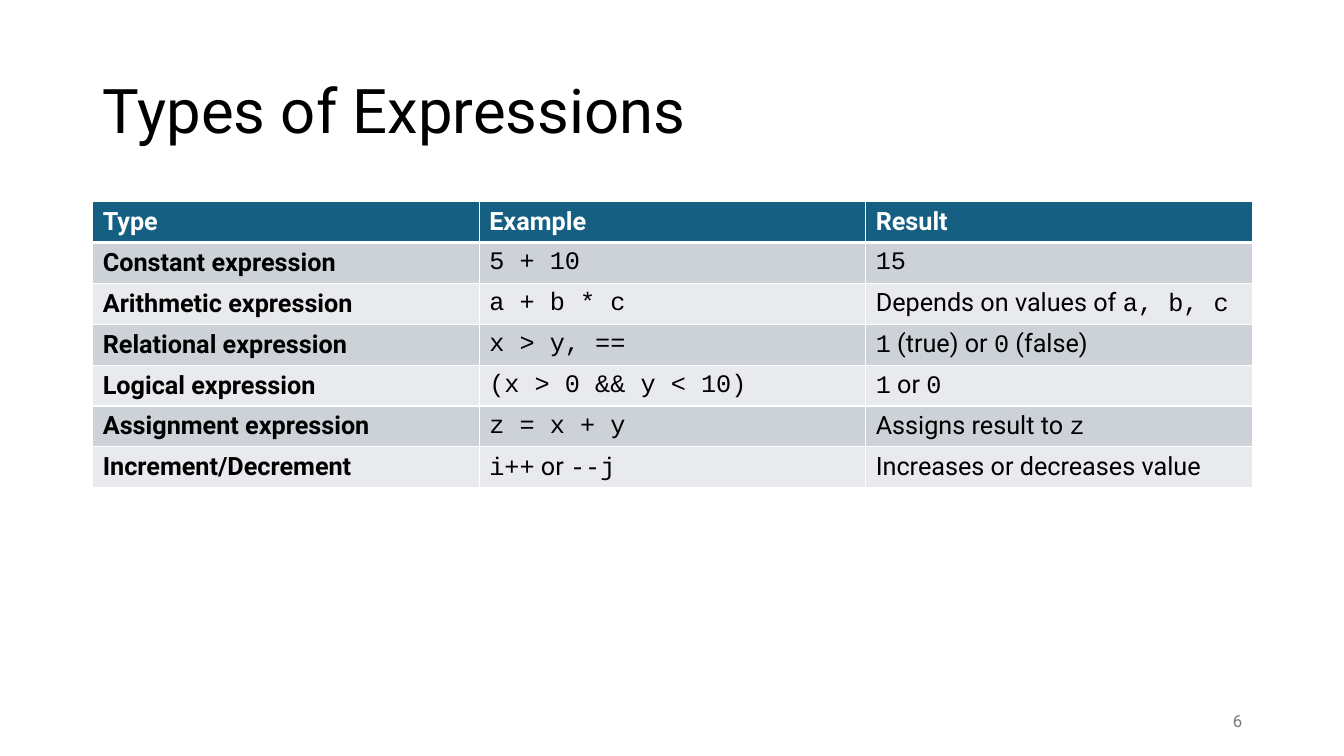
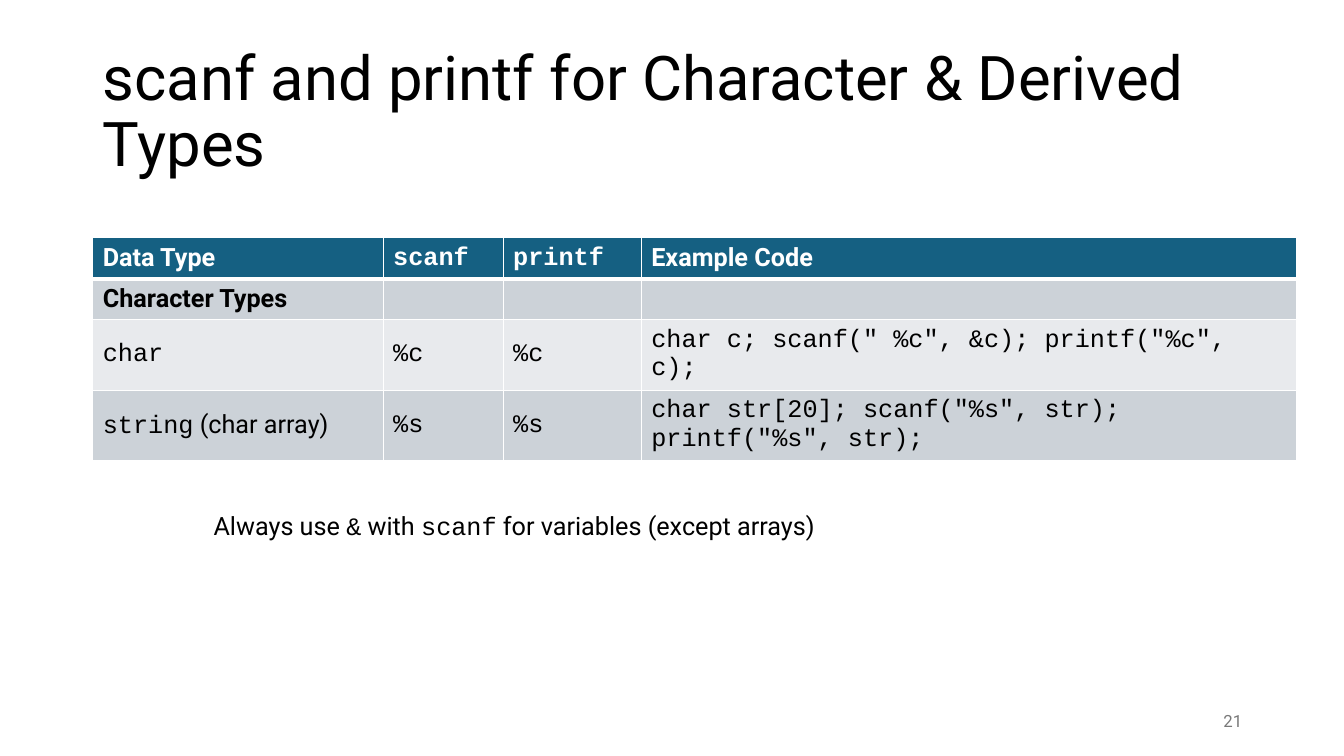
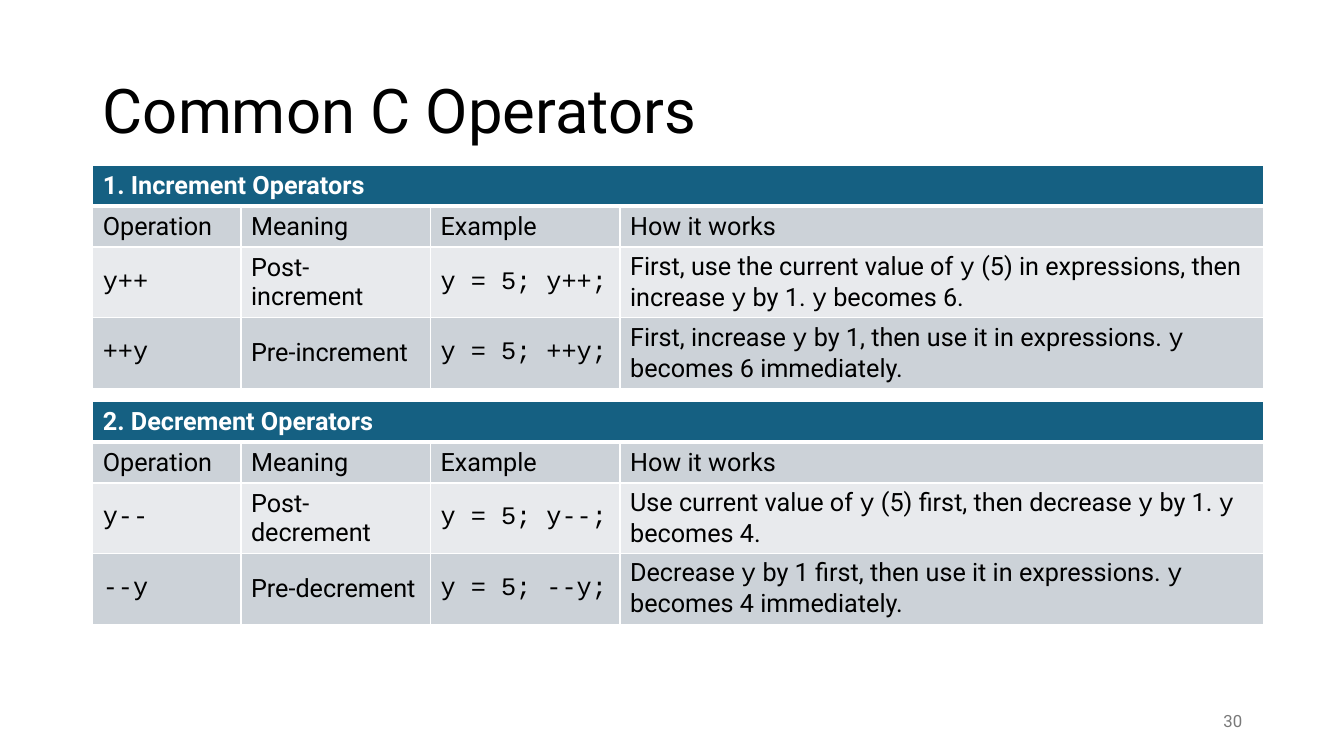
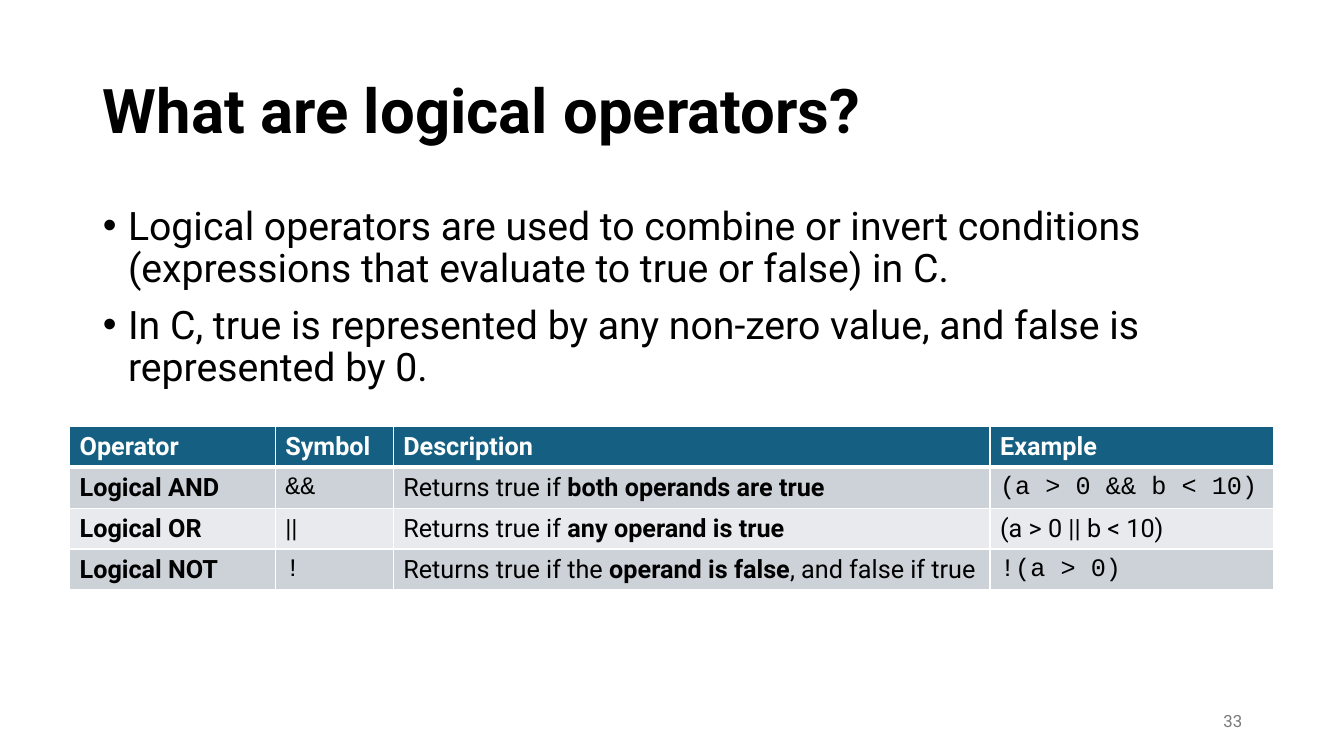
from lxml import etree
from pptx import Presentation
from pptx.dml.color import RGBColor
from pptx.enum.text import MSO_ANCHOR, MSO_AUTO_SIZE, PP_ALIGN
from pptx.oxml.ns import qn
from pptx.util import Inches, Pt

MIDDLE, TOP = MSO_ANCHOR.MIDDLE, MSO_ANCHOR.TOP
NO_FIT = MSO_AUTO_SIZE.NONE
LEFT, RIGHT = PP_ALIGN.LEFT, PP_ALIGN.RIGHT

# Shared style
BODY_FONT, CODE_FONT = "Roboto", "Courier New"
BLACK, WHITE, GREY = "000000", "FFFFFF", "797979"
HEADER_FILL = "156082"
BAND_FILLS = ["E8EAED", "CCD2D8"]
MARGIN, CONTENT_WIDTH = 0.92, 11.5
ROW_HEIGHT = 2.84 / 7
TITLE_ONLY, TITLE_AND_BODY = 5, 1


def add_text(para, text, size, colour=BLACK, bold=False):
    """Add runs: `...` marks code and **...** marks bold."""
    for bold_index, part in enumerate(text.split("**")):
        for code_index, words in enumerate(part.split("`")):
            if words:
                span = para.add_run()
                span.text = words
                span.font.name = CODE_FONT if code_index % 2 else BODY_FONT
                span.font.size = Pt(size)
                span.font.bold = bold or bold_index % 2 == 1
                span.font.color.rgb = RGBColor.from_string(colour)


def add_grid(page, left, top, widths, rows):
    """Add a banded table; a row with a single text spans all columns."""
    frame = page.shapes.add_table(
        len(rows), len(widths), Inches(left), Inches(top),
        Inches(sum(widths)), Inches(ROW_HEIGHT * len(rows)))
    table = frame.table
    for column, width in zip(table.columns, widths):
        column.width = Inches(width)
    for row_index, texts in enumerate(rows):
        table.rows[row_index].height = Inches(ROW_HEIGHT)
        is_header = row_index == 0
        for column_index in range(len(widths)):
            cell = table.cell(row_index, column_index)
            cell.vertical_anchor = MIDDLE
            # White borders, thicker under the header
            thick_side = {0: "lnB", 1: "lnT"}.get(row_index)
            for side in ("lnL", "lnR", "lnT", "lnB"):
                points = 3 if side == thick_side else 1
                line = etree.SubElement(cell._tc.get_or_add_tcPr(), qn("a:" + side), w=str(Pt(points)))
                fill = etree.SubElement(line, qn("a:solidFill"))
                etree.SubElement(fill, qn("a:srgbClr"), val=WHITE)
            cell.fill.solid()
            cell.fill.fore_color.rgb = RGBColor.from_string(
                HEADER_FILL if is_header else BAND_FILLS[row_index % 2])
            if column_index < len(texts):
                add_text(cell.text_frame.paragraphs[0], texts[column_index], 18,
                         WHITE if is_header else BLACK, is_header)
        if len(texts) == 1:
            table.cell(row_index, 0).merge(table.cell(row_index, len(widths) - 1))


deck = Presentation()
deck.slide_width, deck.slide_height = Inches(13.33), Inches(7.5)

# Titles and page numbers
pages = []
for title, number, layout in [
    ("Types of Expressions", "6", TITLE_ONLY),
    ("scanf and printf for Character & Derived Types", "21", TITLE_ONLY),
    ("Common C Operators", "30", TITLE_ONLY),
    ("**What are logical operators?**", "33", TITLE_AND_BODY),
]:
    page = deck.slides.add_slide(deck.slide_layouts[layout])
    pages.append(page)
    box = page.shapes.title
    box.left, box.top = Inches(MARGIN), Inches(0.4)
    box.width, box.height = Inches(CONTENT_WIDTH), Inches(1.45)
    box.text_frame.auto_size = NO_FIT
    box.text_frame.vertical_anchor = MIDDLE
    para = box.text_frame.paragraphs[0]
    para.alignment, para.line_spacing = LEFT, 0.9
    add_text(para, title, 44)

    box = page.shapes.add_textbox(Inches(9.42), Inches(6.95), Inches(3), Inches(0.4))
    box.text_frame.word_wrap = True
    box.text_frame.vertical_anchor = MIDDLE
    para = box.text_frame.paragraphs[0]
    para.alignment = RIGHT
    add_text(para, number, 12, GREY)

expressions_page, formats_page, operators_page, logic_page = pages

# Types of expressions
add_grid(expressions_page, MARGIN, 2, [CONTENT_WIDTH / 3] * 3, [
    ["Type", "Example", "Result"],
    ["**Constant expression**", "`5 + 10`", "`15`"],
    ["**Arithmetic expression**", "`a + b * c`", "Depends on values of `a, b, c`"],
    ["**Relational expression**", "`x > y, ==`", "`1` (true) or `0` (false)"],
    ["**Logical expression**", "`(x > 0 && y < 10)`", "`1` or `0`"],
    ["**Assignment expression**", "`z = x + y`", "Assigns result to `z`"],
    ["**Increment/Decrement**", "`i++` or `--j`", "Increases or decreases value"],
])

# Format specifiers, with a note below
add_grid(formats_page, MARGIN, 2.36, [2.88, 1.19, 1.37, 6.5], [
    ["Data Type", "`scanf`", "`printf`", "Example Code"],
    ["**Character Types**", "", "", ""],
    ["`char`", "`%c`", "`%c`", '`char c; scanf(" %c", &c); printf("%c", c);`'],
    ["`string` (char array)", "`%s`", "`%s`",
     '`char str[20]; scanf("%s", str); printf("%s", str);`'],
])
note = formats_page.shapes.add_textbox(Inches(2.02), Inches(5.01), Inches(6.67), Inches(0.4))
note.text_frame.word_wrap = True
add_text(note.text_frame.paragraphs[0],
         "Always use `&` with `scanf` for variables (except arrays)", 18)

# Increment and decrement operators
for top, heading, operations in [
    (1.64, "1. Increment Operators", [
        ["`y++`", "Post-increment", "`y = 5; y++;`",
         "First, use the current value of `y` (5) in expressions, then increase `y` by 1. `y` becomes 6."],
        ["`++y`", "Pre-increment", "`y = 5; ++y;`",
         "First, increase `y` by 1, then use it in expressions. `y` becomes 6 immediately."],
    ]),
    (3.98, "2. Decrement Operators", [
        ["`y--`", "Post-decrement", "`y = 5; y--;`",
         "Use current value of `y` (5) first, then decrease `y` by 1. `y` becomes 4."],
        ["`--y`", "Pre-decrement", "`y = 5; --y;`",
         "Decrease `y` by 1 first, then use it in expressions. `y` becomes 4 immediately."],
    ]),
]:
    labels = ["Operation", "Meaning", "Example", "How it works"]
    add_grid(operators_page, MARGIN, top, [1.47, 1.88, 1.88, 6.38],
             [[heading], labels] + operations)

# Logical operators: bullets, then table
body = logic_page.placeholders[1]
body.left, body.top = Inches(MARGIN), Inches(2)
body.width, body.height = Inches(CONTENT_WIDTH), Inches(4.76)
body.text_frame.auto_size = NO_FIT
body.text_frame.vertical_anchor = TOP
for index, text in enumerate([
    "Logical operators are used to combine or invert conditions "
    "(expressions that evaluate to true or false) in C.",
    "In C, true is represented by any non-zero value, and false is represented by 0.",
]):
    para = body.text_frame.add_paragraph() if index else body.text_frame.paragraphs[0]
    para.line_spacing, para.space_before = 0.9, Pt(10)
    properties = para._p.get_or_add_pPr()
    properties.set("marL", str(Inches(0.25)))
    properties.set("indent", str(Inches(-0.25)))
    etree.SubElement(properties, qn("a:buChar"), char="•")
    add_text(para, text, 28)

add_grid(logic_page, 0.69, 4.23, [2.04, 1.17, 5.92, 2.81], [
    ["Operator", "Symbol", "Description", "Example"],
    ["**Logical AND**", "`&&`", "Returns true if **both operands are true**", "`(a > 0 && b < 10)`"],
    ["**Logical OR**", "||", "Returns true if **any operand is true**", "(a > 0 || b < 10)"],
    ["**Logical NOT**", "`!`", "Returns true if the **operand is false**, and false if true",
     "`!(a > 0)`"],
])

deck.save("out.pptx")
